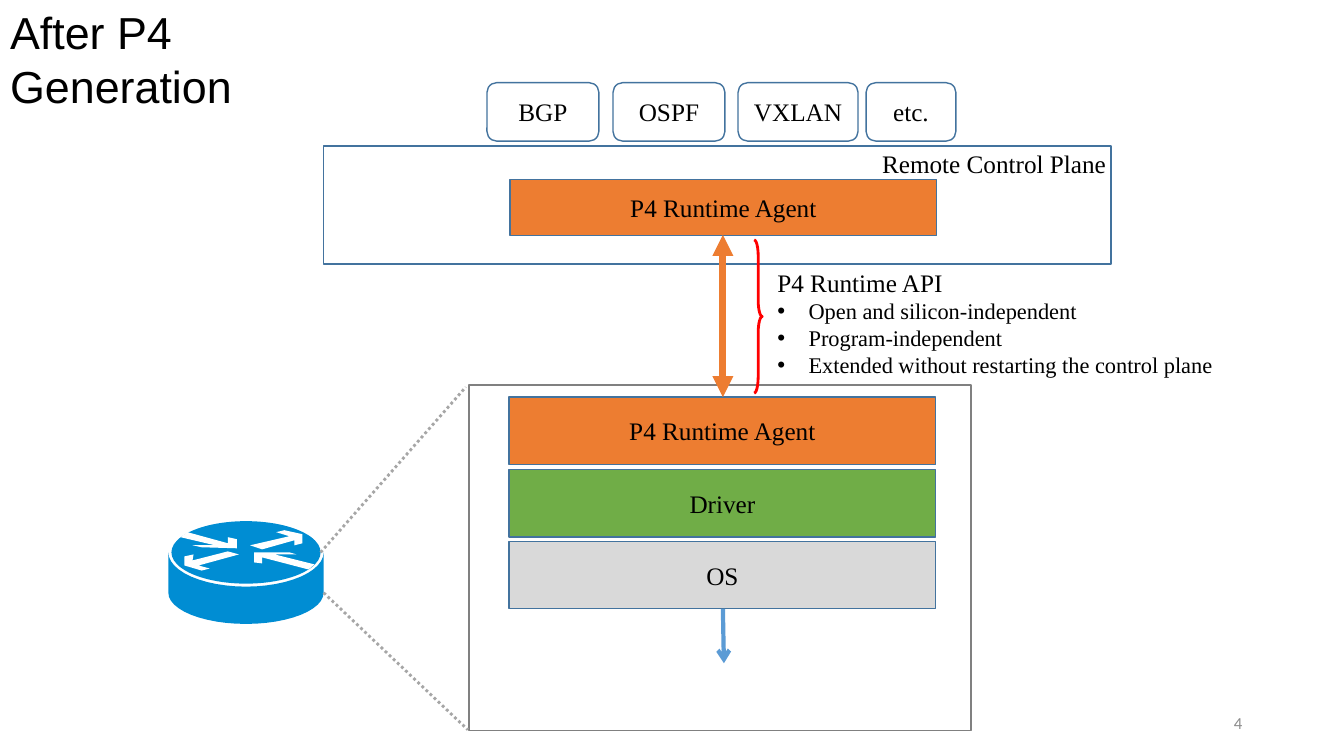
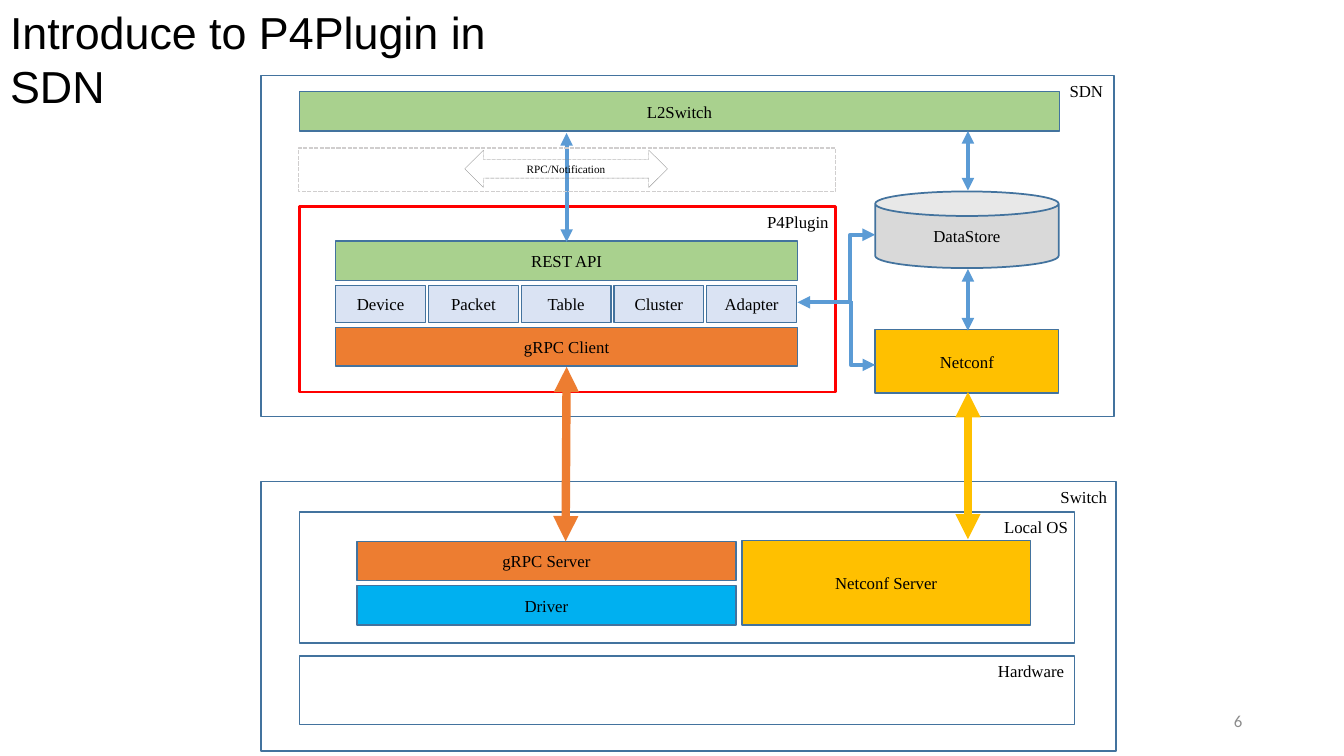
from math import cos, pi, sin

from lxml import etree
from pptx import Presentation
from pptx.dml.color import RGBColor
from pptx.enum.dml import MSO_LINE
from pptx.enum.shapes import MSO_CONNECTOR, MSO_SHAPE
from pptx.enum.text import MSO_ANCHOR, MSO_AUTO_SIZE, PP_ALIGN
from pptx.oxml.ns import qn
from pptx.util import Inches, Pt

BORDER, GRAY, PALE_GRAY = "43739E", "808080", "D9D9D9"
ORANGE, GREEN, PALE_GREEN, GOLD = "ED7D31", "70AD47", "A9D18E", "FFC000"
BLUE, PALE_BLUE, SKY, ROUTER = "5B9BD5", "DAE3F3", "00B0F0", "008DD3"
RED, BLACK, WHITE = "FF0000", "000000", "FFFFFF"
SERIF = "Times New Roman"
color = RGBColor.from_string


def add_box(slide, at, text="", fill=None, line=BORDER, size=12, kind=MSO_SHAPE.RECTANGLE,
            width=1, dash=None, align=PP_ALIGN.CENTER, font=SERIF, ink=BLACK):
    """Add a shape with centred text, or a plain text box when kind is None."""
    place = [Inches(value) for value in at]
    if kind is None:
        shape = slide.shapes.add_textbox(*place)
        shape.text_frame.word_wrap = False
    else:
        shape = slide.shapes.add_shape(kind, *place)
        shape.shadow.inherit = False
        shape.text_frame.vertical_anchor = MSO_ANCHOR.MIDDLE
        if fill:
            shape.fill.solid()
            shape.fill.fore_color.rgb = color(fill)
        else:
            shape.fill.background()
        if line:
            shape.line.color.rgb = color(line)
            shape.line.width = Pt(width)
            shape.line.dash_style = dash
        else:
            shape.line.fill.background()
    if text:
        paragraph = shape.text_frame.paragraphs[0]
        paragraph.text = text
        paragraph.alignment = align
        paragraph.font.size = Pt(size)
        paragraph.font.name = font
        paragraph.font.color.rgb = color(ink)
    return shape


def add_line(slide, start, end, line, width, head="triangle", tail="triangle",
             dash=None, bend=None):
    """Add a straight connector, or an elbow that turns at the share bend of its width."""
    kind = MSO_CONNECTOR.STRAIGHT if bend is None else MSO_CONNECTOR.ELBOW
    connector = slide.shapes.add_connector(kind, *[Inches(value) for value in start + end])
    connector.line.color.rgb = color(line)
    connector.line.width = Pt(width)
    connector.line.dash_style = dash
    properties = connector._element.spPr
    for tag, arrow in (("a:headEnd", head), ("a:tailEnd", tail)):
        if arrow:
            etree.SubElement(properties.find(qn("a:ln")), qn(tag), type=arrow)
    if bend is not None:
        guides = properties.find(qn("a:prstGeom")).get_or_add_avLst()
        etree.SubElement(guides, qn("a:gd"), name="adj1", fmla=f"val {round(bend * 100000)}")
    etree.SubElement(properties, qn("a:effectLst"))


presentation = Presentation()
presentation.slide_width = Inches(13.33)
presentation.slide_height = Inches(7.5)

# Titles and slide numbers
slides = []
for layout, title_text, title_width, number, number_top in (
        (1, "After P4 Generation", 4.1, "4", 6.97),
        (5, "Introduce to P4Plugin in SDN", 5.9, "6", 6.95)):
    slide = presentation.slides.add_slide(presentation.slide_layouts[layout])
    title = slide.shapes.title
    title.left, title.top = Inches(0), Inches(0)
    title.width, title.height = Inches(title_width), Inches(0.64)
    title.text_frame.text = title_text
    title.text_frame.auto_size = MSO_AUTO_SIZE.NONE
    title.text_frame.vertical_anchor = MSO_ANCHOR.TOP
    paragraph = title.text_frame.paragraphs[0]
    paragraph.alignment = PP_ALIGN.LEFT
    paragraph.font.size = Pt(32)
    paragraph.font.name = "Arial"
    paragraph.font.color.rgb = color(BLACK)
    number_box = add_box(slide, (9.42, number_top, 3, 0.4), number, kind=None,
                         align=PP_ALIGN.RIGHT, font="Calibri", ink="8C8C8C")
    number_box.text_frame.word_wrap = True
    number_box.text_frame.vertical_anchor = MSO_ANCHOR.MIDDLE
    slides.append(slide)
runtime_slide, plugin_slide = slides

# Control plane with its protocols
for left, width, protocol in ((4.83, 1.11, "BGP"), (6.08, 1.11, "OSPF"),
                              (7.32, 1.19, "VXLAN"), (8.59, 0.89, "etc.")):
    add_box(runtime_slide, (left, 0.82, width, 0.58), protocol, size=18,
            kind=MSO_SHAPE.ROUNDED_RECTANGLE)
add_box(runtime_slide, (3.21, 1.45, 7.81, 1.17))
add_box(runtime_slide, (8.53, 1.42, 2.66, 0.4), "Remote Control Plane", size=18, kind=None)

# Router: side, top and four white arrows
center, side_radius = 2.44, 0.77
angles = [pi * step / 24 for step in range(25)]
side = [(center + side_radius * cos(angle), 5.88 + 0.31 * sin(angle)) for angle in angles]
side += [(center - side_radius * cos(angle), 5.48 + 0.34 * sin(angle)) for angle in angles]
add_box(runtime_slide, (1.7, 5.17, 1.48, 0.62), fill=ROUTER, line=None, kind=MSO_SHAPE.OVAL)
router_outlines = (
    (ROUTER, side),
    (WHITE, [(2.26, 5.47), (1.91, 5.56), (1.92, 5.5), (1.83, 5.52), (1.83, 5.61),
             (2, 5.66), (2.08, 5.64), (1.97, 5.61), (2.37, 5.5)]),
    (WHITE, [(2.6, 5.45), (2.92, 5.36), (2.92, 5.41), (3, 5.39), (3, 5.3),
             (2.82, 5.26), (2.74, 5.28), (2.87, 5.32), (2.48, 5.41)]),
    (WHITE, [(3.12, 5.6), (2.72, 5.5), (2.94, 5.5), (2.87, 5.48), (2.52, 5.48),
             (2.52, 5.58), (2.6, 5.59), (2.6, 5.53), (3.06, 5.65)]),
    (WHITE, [(1.79, 5.33), (2.13, 5.41), (1.91, 5.41), (2, 5.43), (2.35, 5.44),
             (2.35, 5.35), (2.26, 5.33), (2.26, 5.39), (1.86, 5.28)]),
)
for fill, outline in router_outlines:
    points = [(Inches(x), Inches(y)) for x, y in outline]
    builder = runtime_slide.shapes.build_freeform(*points[0])
    builder.add_line_segments(points[1:], close=True)
    router_part = builder.convert_to_shape()
    router_part.shadow.inherit = False
    router_part.fill.solid()
    router_part.fill.fore_color.rgb = color(fill)
    router_part.line.fill.background()

# Switch layers
add_box(runtime_slide, (4.65, 3.82, 4.98, 3.43), line=GRAY)
for left, top, height, text, fill in (
        (5.06, 1.78, 0.56, "P4 Runtime Agent", ORANGE),
        (5.05, 3.94, 0.67, "P4 Runtime Agent", ORANGE),
        (5.05, 4.66, 0.67, "Driver", GREEN),
        (5.05, 5.37, 0.67, "OS", PALE_GRAY)):
    add_box(runtime_slide, (left, top, 4.23, height), text, fill, size=18)
add_line(runtime_slide, (7.17, 6.04), (7.18, 6.58), BLUE, 3, head=None, tail="arrow")
for start, end in (((3.18, 5.48), (4.62, 3.84)), ((3.21, 5.88), (4.64, 7.24))):
    add_line(runtime_slide, start, end, "A6A6A6", 2, None, None, MSO_LINE.ROUND_DOT)
add_line(runtime_slide, (7.17, 2.33), (7.17, 3.94), ORANGE, 5)

# Runtime interface
brace = add_box(runtime_slide, (7.48, 2.38, 0.08, 1.52), line=RED, width=2,
                kind=MSO_SHAPE.RIGHT_BRACE)
brace.adjustments[0] = 2
body = runtime_slide.placeholders[1]
body.left, body.top, body.width, body.height = [Inches(v) for v in (7.61, 2.6, 4.6, 1.21)]
body.text_frame.text = "\n".join((
    "P4 Runtime API", "Open and silicon-independent", "Program-independent",
    "Extended without restarting the control plane"))
body.text_frame.auto_size = MSO_AUTO_SIZE.NONE
for index, paragraph in enumerate(body.text_frame.paragraphs):
    indent = Inches(0.31) if index else 0
    properties = paragraph._p.get_or_add_pPr()
    properties.set("marL", str(indent))
    properties.set("indent", str(-indent))
    if index == 0:
        etree.SubElement(properties, qn("a:buNone"))
    paragraph.space_before = Pt(0)
    paragraph.font.size = Pt(16 if index else 18)
    paragraph.font.name = SERIF
    paragraph.font.color.rgb = color(BLACK)

# Frames and their labels
for at in ((2.59, 0.75, 8.46, 3.38), (2.59, 4.78, 8.48, 2.67),
           (2.97, 5.08, 7.69, 1.3), (2.97, 6.51, 7.69, 0.68)):
    add_box(plugin_slide, at)
add_box(plugin_slide, (2.97, 2.05, 5.32, 1.84), line=RED, width=2)
for left, top, width, label in (
        (10.51, 0.75, 0.54, "SDN"), (7.51, 2.05, 0.81, "P4Plugin"),
        (10.42, 4.78, 0.66, "Switch"), (9.86, 5.08, 0.85, "Local OS"),
        (9.8, 6.51, 0.86, "Hardware")):
    add_box(plugin_slide, (left, top, width, 0.3), label, kind=None, align=PP_ALIGN.LEFT)

# Components
for at, text, fill in (
        ((2.97, 0.91, 7.54, 0.39), "L2Switch", PALE_GREEN),
        ((3.33, 2.39, 4.58, 0.39), "REST API", PALE_GREEN),
        ((3.33, 3.25, 4.58, 0.38), "gRPC Client", ORANGE),
        ((8.68, 3.27, 1.82, 0.63), "Netconf", GOLD),
        ((3.54, 5.37, 3.76, 0.39), "gRPC Server", ORANGE),
        ((3.54, 5.81, 3.76, 0.39), "Driver", SKY),
        ((7.36, 5.36, 2.86, 0.84), "Netconf Server", GOLD)):
    add_box(plugin_slide, at, text, fill)
for column, module in enumerate(("Device", "Packet", "Table", "Cluster", "Adapter")):
    add_box(plugin_slide, (3.33 + column * 0.92, 2.83, 0.89, 0.37), module, PALE_BLUE)
store = add_box(plugin_slide, (8.68, 1.9, 1.82, 0.76), "DataStore", PALE_GRAY,
                kind=MSO_SHAPE.CAN, width=1.25)
store.adjustments[0] = 0.32

# Arrows between components
for start, end, line, width in (
        ((9.6, 3.28), (9.6, 2.67), BLUE, 3), ((5.62, 2.4), (5.62, 1.32), BLUE, 3),
        ((9.6, 1.89), (9.6, 1.3), BLUE, 3), ((5.61, 5.37), (5.62, 3.64), ORANGE, 6),
        ((9.6, 5.35), (9.6, 3.89), GOLD, 6)):
    add_line(plugin_slide, start, end, line, width)
add_line(plugin_slide, (7.91, 3), (8.68, 2.33), BLUE, 3, bend=0.68)
add_line(plugin_slide, (8.44, 2.99), (8.68, 3.62), BLUE, 3, head=None, bend=0)

# Notification channel
add_box(plugin_slide, (4.61, 1.49, 2.01, 0.37), "RPC/Notification", line=GRAY, size=8,
        kind=MSO_SHAPE.LEFT_RIGHT_ARROW, width=0.25, dash=MSO_LINE.ROUND_DOT)
add_box(plugin_slide, (2.96, 1.47, 5.33, 0.43), line="D0CECE", dash=MSO_LINE.SQUARE_DOT)

presentation.save("out.pptx")
